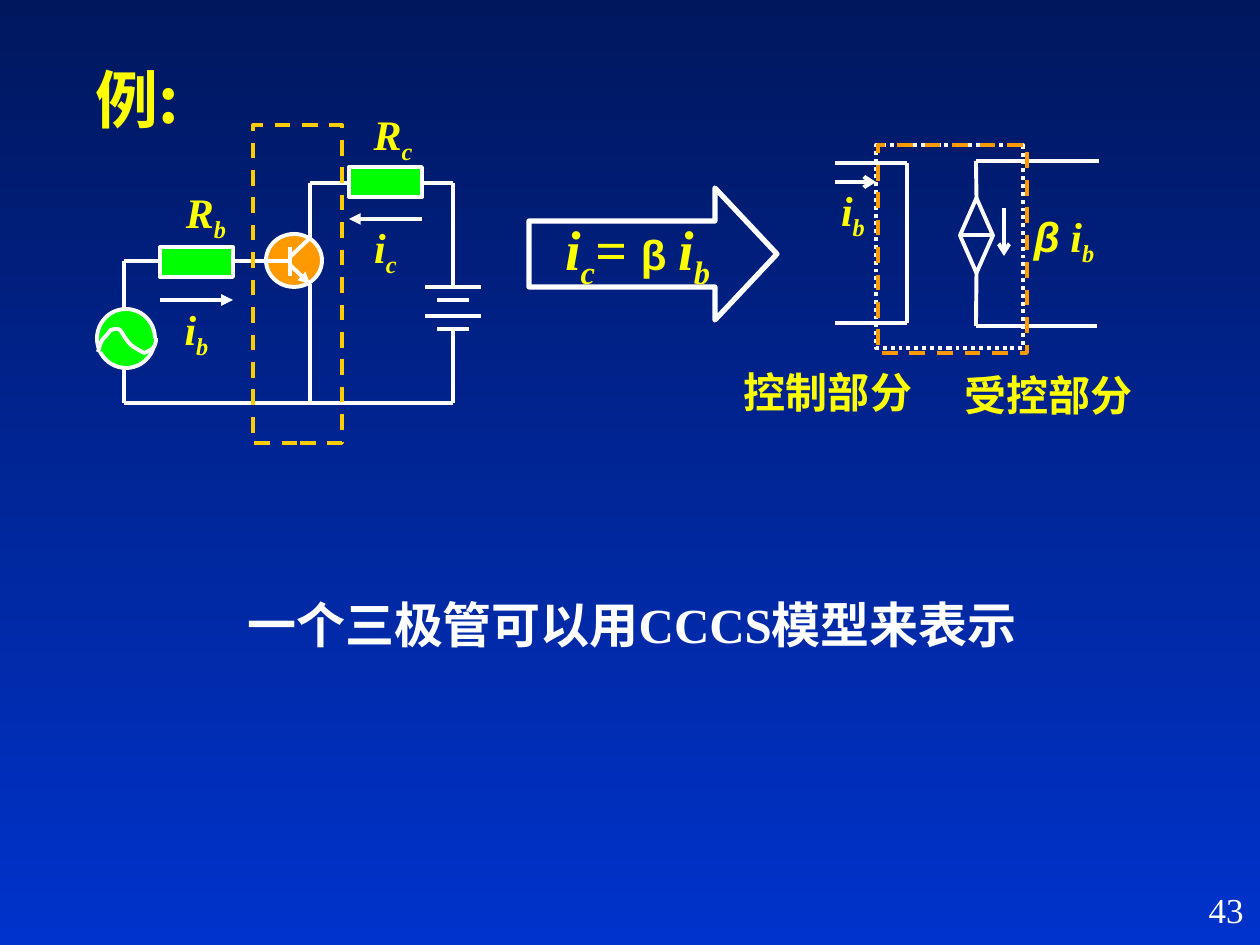
"""Build the slide that models a transistor as a current-controlled current source."""
import itertools

import lxml.etree
import pptx
import pptx.dml.color
import pptx.enum.dml
import pptx.enum.shapes
import pptx.enum.text
import pptx.oxml.ns
import pptx.util

EMU_PER_PX = 914400 / 126
SHAPE = pptx.enum.shapes.MSO_SHAPE
DASH = pptx.enum.dml.MSO_LINE
ALIGN = pptx.enum.text.PP_ALIGN
ANCHOR = pptx.enum.text.MSO_ANCHOR
COLORS = {
    "night": "00175E", "blue": "0033CC", "white": "FFFFFF", "yellow": "FFFF00",
    "green": "00FF00", "orange": "FF9900", "gold": "FFCC00",
}
SERIF, SANS, CJK = "Times New Roman", "Arial", "Noto Sans CJK SC"

BASE = {"name": SERIF, "size": 24, "bold": True, "italic": False, "color": "yellow"}
SYMBOL = {"italic": True}
SUB = {"italic": True, "sub": True}
LARGE = {"italic": True, "size": 32}
LARGE_SUB = {**LARGE, "sub": True}

TITLE = ((54, 54, 166, 88), [("例:", {"name": CJK, "size": 36})])
LABELS = [
    ((814, 178, 78, 70), [("i", SYMBOL), ("b", SUB)]),
    ((998, 204, 132, 70), [("β", {**SYMBOL, "name": SANS}), (" i", SYMBOL), ("b", SUB)]),
    ((729, 360, 198, 63), [("控制部分", {})]),
    ((939, 363, 219, 63), [("受控部分", {})]),
    ((349, 102, 88, 70), [("R", SYMBOL), ("c", SUB)]),
    ((160, 297, 73, 70), [("i", SYMBOL), ("b", SUB)]),
    ((160, 180, 92, 70), [("R", SYMBOL), ("b", SUB)]),
    ((349, 215, 73, 70), [("i", SYMBOL), ("c", SUB)]),
]
CONCLUSION = ((217, 577, 830, 83),
              [("一个三极管可以用CCCS模型来表示", {"size": 28, "color": "white"})])
PAGE_NUMBER = ((994, 882, 262, 63), [("43", {"size": 20, "bold": False, "color": "white"})])
GAIN = [("i", LARGE), ("c", LARGE_SUB), ("= ", LARGE), ("β ", {"name": SANS}),
        ("i", LARGE), ("b", LARGE_SUB)]

MODEL_WIRES = [
    [(835, 163), (907, 163), (907, 323), (835, 323)],
    [(976, 273), (976, 326), (1097, 326)],
    [(976, 198), (976, 161), (1099, 161)],
]
CIRCUIT_WIRES = [
    [(266, 261), (124, 261), (124, 403), (453, 403), (453, 329)],
    [(310, 284), (310, 403)],
    [(310, 238), (310, 183), (453, 183), (453, 287)],
]
BATTERY = {"center": 453, "plates": [(287, 28), (300, 16), (316, 28), (329, 16)]}
TRANSISTOR_WIRES = [
    [(290, 247), (290, 276)],
    [(290, 257), (310, 238)],
    [(290, 261), (265, 261)],
]
ARROWS = [
    ((290, 265), (310, 284), "triangle"),
    ((160, 300), (233, 300), "triangle"),
    ((422, 219), (349, 219), "triangle"),
    ((1004, 208), (1004, 256), "arrow"),
    ((835, 182), (876, 182), "arrow"),
]
PARTS = [
    (SHAPE.OVAL, (266, 234, 56, 53), "orange"),
    (SHAPE.RECTANGLE, (160, 247, 73, 30), "green"),
    (SHAPE.RECTANGLE, (349, 167, 73, 30), "green"),
    (SHAPE.OVAL, (97, 309, 58, 59), "green"),
]
SINE = [(98, 352), (100, 345), (101, 340), (106, 336), (112, 329), (108, 331), (115, 329),
        (116, 329), (118, 329), (120, 330), (123, 334), (126, 340), (130, 344),
        (134, 348), (139, 350), (144, 353), (152, 350), (156, 348), (156, 338)]
FRAMES = [
    ((876, 145, 147, 203), "white", DASH.ROUND_DOT),
    ((253, 125, 89, 318), "gold", DASH.DASH),
    ((878, 145, 149, 208), "orange", DASH.DASH),
]


def px(*lengths):
    return [pptx.util.Emu(round(length * EMU_PER_PX)) for length in lengths]


def rgb(color):
    return pptx.dml.color.RGBColor.from_string(COLORS[color])


def add_child(parent, tag, **attributes):
    return lxml.etree.SubElement(parent, pptx.oxml.ns.qn(tag), **attributes)


def paint(shape, fill=None, line="white", width=2.25, dash=None):
    shape.shadow.inherit = False
    if fill:
        shape.fill.solid()
        shape.fill.fore_color.rgb = rgb(fill)
    else:
        shape.fill.background()
    shape.line.color.rgb = rgb(line)
    shape.line.width = pptx.util.Pt(width)
    shape.line.dash_style = dash


def add_part(slide, kind, box, **style):
    part = slide.shapes.add_shape(kind, *px(*box))
    paint(part, **style)
    return part


def write(shape, runs, align=ALIGN.CENTER, spacing=1.0, anchor=ANCHOR.MIDDLE):
    frame = shape.text_frame
    across, down = pptx.util.Inches(0.1), pptx.util.Inches(0.05)
    settings = {"word_wrap": True, "vertical_anchor": anchor, "margin_left": across,
                "margin_right": across, "margin_top": down, "margin_bottom": down,
                "auto_size": pptx.enum.text.MSO_AUTO_SIZE.NONE}
    for key, value in settings.items():
        setattr(frame, key, value)
    paragraph = frame.paragraphs[0]
    paragraph.alignment = align
    paragraph.line_spacing = spacing
    for text, changes in runs:
        look = {**BASE, **changes}
        run = paragraph.add_run()
        run.text = text
        run.font.color.rgb = rgb(look["color"])
        run.font.size = pptx.util.Pt(look["size"])
        for key in ("name", "bold", "italic"):
            setattr(run.font, key, look[key])
        properties = run.font._element
        add_child(properties, "a:ea", typeface=CJK)
        if "sub" in look:
            properties.set("baseline", "-25000")


def add_label(slide, box, runs, **layout):
    write(slide.shapes.add_textbox(*px(*box)), runs, **layout)


def add_line(slide, start, end, head=None):
    line = slide.shapes.add_connector(
        pptx.enum.shapes.MSO_CONNECTOR.STRAIGHT, *px(*start, *end))
    line.line.color.rgb = rgb("white")
    line.line.width = pptx.util.Pt(2.25)
    if head:
        add_child(line.line._get_or_add_ln(), "a:tailEnd", type=head)
    add_child(line._element.spPr, "a:effectLst")
    return line


def add_wires(slide, routes):
    return [[add_line(slide, *ends) for ends in itertools.pairwise(route)] for route in routes]


def curve_points(controls, steps=8):
    for first in range(0, len(controls) - 1, 3):
        for step in range(1, steps + 1):
            t = step / steps
            weights = ((1 - t) ** 3, 3 * t * (1 - t) ** 2, 3 * t * t * (1 - t), t ** 3)
            yield px(*(sum(w * point[axis] for w, point in zip(weights, controls[first:first + 4]))
                       for axis in (0, 1)))


def main():
    deck = pptx.Presentation()
    deck.slide_width, deck.slide_height = px(1260, 945)
    slide = deck.slides.add_slide(deck.slide_layouts[5])
    backdrop = slide.background.fill
    backdrop.gradient()
    backdrop.gradient_angle = 270
    for stop, color in zip(backdrop.gradient_stops, ("night", "blue")):
        stop.color.rgb = rgb(color)

    title = slide.shapes.title
    for side, length in zip(("left", "top", "width", "height"), px(*TITLE[0])):
        setattr(title, side, length)
    write(title, TITLE[1])
    add_label(slide, *CONCLUSION, spacing=1.2)

    controlled = add_part(slide, SHAPE.FLOWCHART_SORT, (960, 198, 33, 75))
    _, lower, upper = add_wires(slide, MODEL_WIRES)
    lower[0].begin_connect(controlled, 2)
    upper[0].begin_connect(controlled, 0)

    add_wires(slide, CIRCUIT_WIRES)
    middle = BATTERY["center"]
    add_wires(slide, [[(middle - half, y), (middle + half, y)] for y, half in BATTERY["plates"]])
    for kind, box, color in PARTS:
        add_part(slide, kind, box, fill=color)
    add_wires(slide, TRANSISTOR_WIRES)
    sine = slide.shapes.build_freeform(*px(*SINE[0]), scale=1.0)
    sine.add_line_segments(list(curve_points(SINE)), close=False)
    paint(sine.convert_to_shape(), fill="green")
    for arrow in ARROWS:
        add_line(slide, *arrow)
    for label in LABELS:
        add_label(slide, *label)

    gain_arrow = add_part(slide, SHAPE.RIGHT_ARROW, (529, 188, 248, 132), width=3)
    gain_arrow.adjustments[0], gain_arrow.adjustments[1] = 0.5, 0.47
    write(gain_arrow, GAIN, spacing=0.7)
    for box, color, dash in FRAMES:
        add_part(slide, SHAPE.RECTANGLE, box, line=color, dash=dash)
    add_label(slide, *PAGE_NUMBER, align=ALIGN.RIGHT, anchor=ANCHOR.TOP)
    deck.save("out.pptx")


if __name__ == "__main__":
    main()
